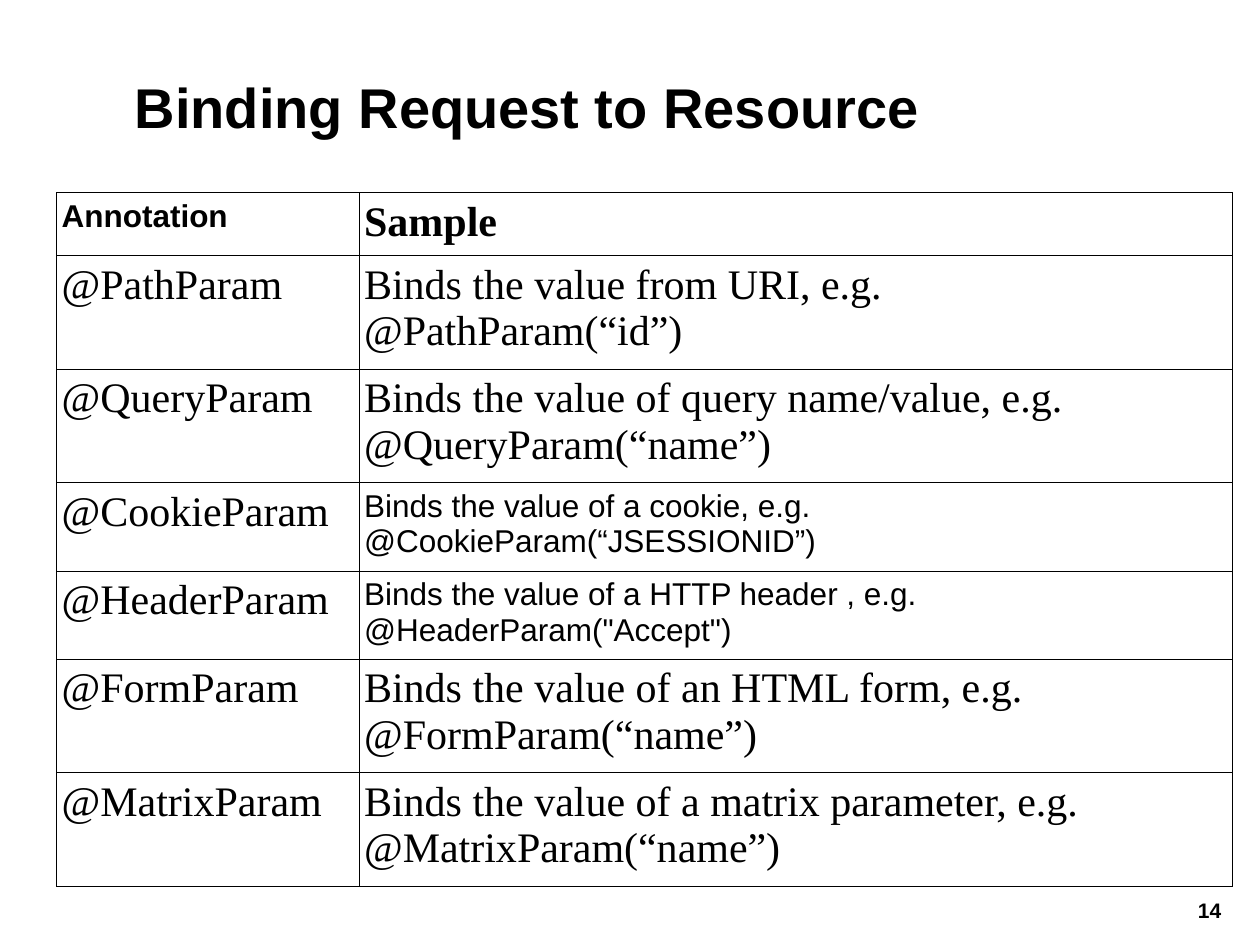
from lxml.etree import SubElement
from pptx import Presentation
from pptx.dml.color import RGBColor
from pptx.enum.text import MSO_ANCHOR, PP_ALIGN
from pptx.oxml.ns import qn
from pptx.util import Inches, Pt

BLACK = RGBColor(0, 0, 0)
SANS, SERIF = ("Arial", 18), ("Times New Roman", 24)

# Content: each cell is a font and its paragraphs
TITLE = "Binding Request to Resource"
PAGE_NUMBER = "14"
HEADER = [(SANS, ["Annotation"]), (SERIF, ["Sample"])]
BINDINGS = [
    ("@PathParam", SERIF, ["Binds the value from URI, e.g.", "@PathParam(“id”)"]),
    ("@QueryParam", SERIF, ["Binds the value of query name/value, e.g.", "@QueryParam(“name”)"]),
    ("@CookieParam", SANS, ["Binds the value of a cookie, e.g. @CookieParam(“JSESSIONID”)"]),
    ("@HeaderParam", SANS, ['Binds the value of a HTTP header , e.g. @HeaderParam("Accept")']),
    ("@FormParam", SERIF, ["Binds the value of an HTML form, e.g.", "@FormParam(“name”)"]),
    ("@MatrixParam", SERIF, ["Binds the value of a matrix parameter, e.g.", "@MatrixParam(“name”)"]),
]
ROWS = [HEADER] + [[(SERIF, [name]), (font, sample)] for name, font, sample in BINDINGS]

# Table grid in inches
TABLE_LEFT, TABLE_TOP = 0.45, 1.53
COLUMN_WIDTHS = [2.4, 6.93]
HEADER_HEIGHT = 0.5
ROW_HEIGHTS = {SERIF: 0.9, SANS: 0.7}
BORDER_WIDTH = Pt(0.57)


def add_run(paragraph, text, font_name, size, bold=False):
    run = paragraph.add_run()
    run.text = text
    run.font.name, run.font.size, run.font.bold = font_name, Pt(size), bold
    run.font.color.rgb = BLACK


def add_borders(cell):
    properties = cell._tc.get_or_add_tcPr()
    for side in ("a:lnL", "a:lnR", "a:lnT", "a:lnB"):
        line = SubElement(properties, qn(side), w=str(int(BORDER_WIDTH)))
        fill = SubElement(line, qn("a:solidFill"))
        SubElement(fill, qn("a:srgbClr"), val=str(BLACK))


def fill_cell(cell, font, texts, bold):
    cell.margin_left = cell.margin_right = Inches(0.04)
    cell.margin_top = cell.margin_bottom = Inches(0.05)
    add_borders(cell)
    cell.fill.background()
    frame = cell.text_frame
    for index, text in enumerate(texts):
        paragraph = frame.add_paragraph() if index else frame.paragraphs[0]
        add_run(paragraph, text, *font, bold)


def add_title(slide):
    title = slide.shapes.title
    title.left, title.top = Inches(0.97), Inches(0.33)
    title.width, title.height = Inches(8.29), Inches(1.03)
    title.text_frame.vertical_anchor = MSO_ANCHOR.MIDDLE
    paragraph = title.text_frame.paragraphs[0]
    paragraph.alignment = PP_ALIGN.LEFT
    add_run(paragraph, TITLE, "Arial", 32, True)


def add_binding_table(slide):
    heights = [HEADER_HEIGHT] + [ROW_HEIGHTS[font] for _, font, _ in BINDINGS]
    table = slide.shapes.add_table(
        len(ROWS), len(COLUMN_WIDTHS), Inches(TABLE_LEFT), Inches(TABLE_TOP),
        Inches(sum(COLUMN_WIDTHS)), Inches(sum(heights))).table
    table.first_row = table.horz_banding = False
    for column, width in zip(table.columns, COLUMN_WIDTHS):
        column.width = Inches(width)
    for row_index, (row, height) in enumerate(zip(ROWS, heights)):
        table.rows[row_index].height = Inches(height)
        for column_index, (font, texts) in enumerate(row):
            fill_cell(table.cell(row_index, column_index), font, texts, row_index == 0)


def add_page_number(slide):
    box = slide.shapes.add_textbox(Inches(9.35), Inches(7.1), Inches(0.5), Inches(0.28))
    box.text_frame.word_wrap = True
    paragraph = box.text_frame.paragraphs[0]
    paragraph.alignment = PP_ALIGN.CENTER
    paragraph.line_spacing = 0.9
    add_run(paragraph, PAGE_NUMBER, "Arial", 12, True)


def main():
    presentation = Presentation()
    presentation.slide_width, presentation.slide_height = Inches(10), Inches(7.5)
    slide = presentation.slides.add_slide(presentation.slide_layouts[5])
    add_page_number(slide)
    add_title(slide)
    add_binding_table(slide)
    presentation.save("out.pptx")


if __name__ == "__main__":
    main()
